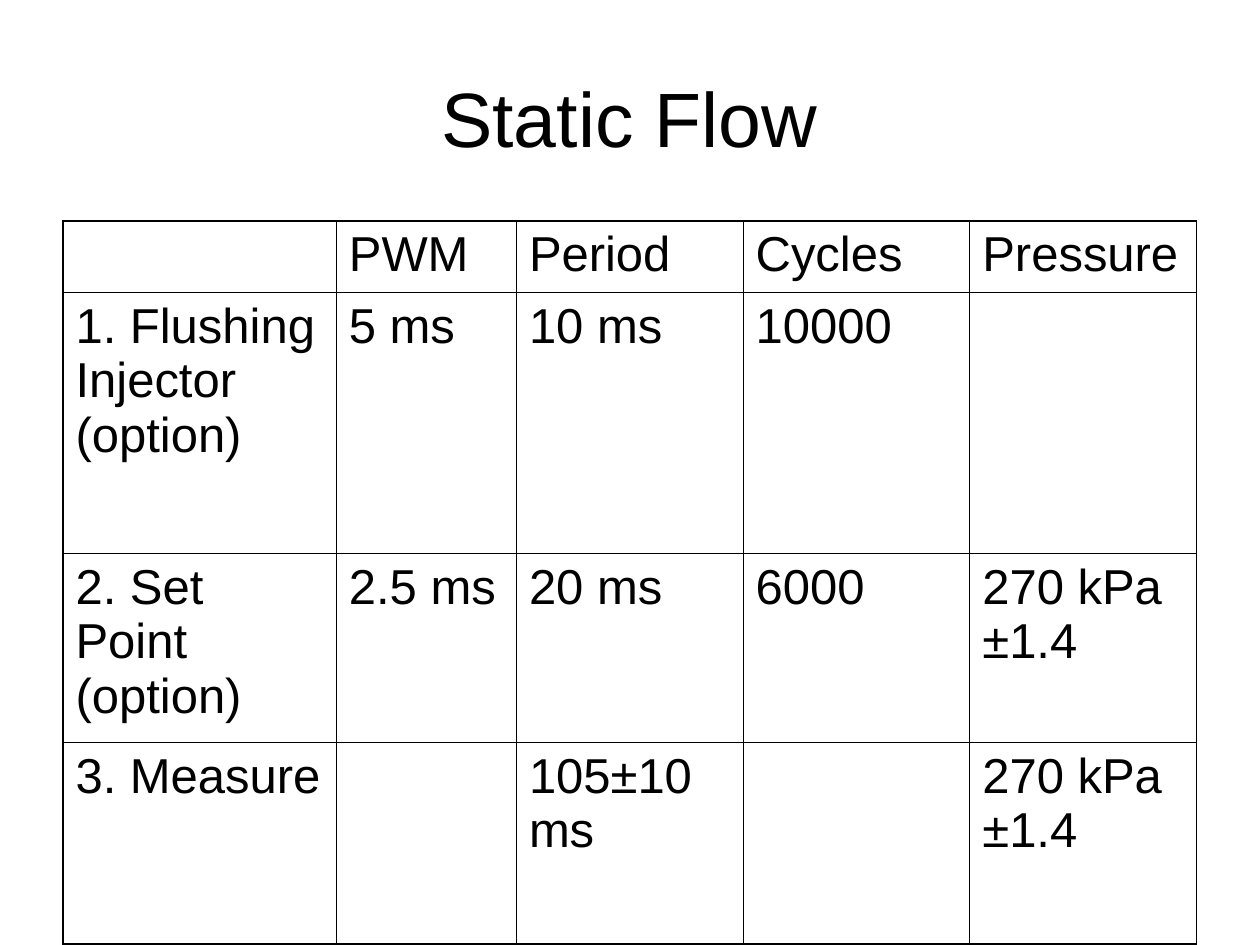
from dataclasses import dataclass

from lxml import etree
from pptx import Presentation
from pptx import util as u
from pptx.dml.color import RGBColor
from pptx.enum import text
from pptx.oxml import ns

# Content
HEADING = "Static Flow"
STEPS = [
    ("", "PWM", "Period", "Cycles", "Pressure"),
    ("1. Flushing Injector (option)", "5 ms", "10 ms", "10000", ""),
    ("2. Set Point (option)", "2.5 ms", "20 ms", "6000", "270 kPa ±1.4"),
    ("3. Measure", "", "105±10 ms", "", "270 kPa ±1.4"),
]
COLUMN_WIDTHS = [5.51, 3.63, 4.57, 4.57, 4.57]
ROW_HEIGHTS = [1.45, 5.26, 3.81, 4.06]
LEFT, TITLE_TOP, TITLE_HEIGHT, TABLE_TOP = 1.27, 0.76, 3.18, 4.45


@dataclass(frozen=True)
class Theme:
    font: str = "Arial"
    ink: str = "000000"
    title_size: float = 44
    cell_size: float = 28
    space_before: float = 7
    outer_line: float = 1.08
    inner_line: float = 0.45


THEME = Theme()


def style(paragraph, size):
    for run in paragraph.runs:
        run.font.name = THEME.font
        run.font.size = u.Pt(size)
        run.font.color.rgb = RGBColor.from_string(THEME.ink)


def set_borders(cell, outer_sides):
    """Draw all four sides, heavier on the table's outer edge."""
    properties = cell._tc.get_or_add_tcPr()
    for position, side in enumerate("LRTB"):
        weight = THEME.outer_line if side in outer_sides else THEME.inner_line
        line = etree.Element(ns.qn(f"a:ln{side}"), w=str(int(u.Pt(weight))))
        fill = etree.SubElement(line, ns.qn("a:solidFill"))
        etree.SubElement(fill, ns.qn("a:srgbClr"), val=THEME.ink)
        properties.insert(position, line)


def add_heading(slide):
    heading = slide.shapes.title
    heading.left, heading.top = u.Cm(LEFT), u.Cm(TITLE_TOP)
    heading.width, heading.height = u.Cm(sum(COLUMN_WIDTHS)), u.Cm(TITLE_HEIGHT)
    heading.text_frame.text = HEADING
    heading.text_frame.vertical_anchor = text.MSO_ANCHOR.MIDDLE
    paragraph = heading.text_frame.paragraphs[0]
    paragraph.alignment = text.PP_ALIGN.CENTER
    style(paragraph, THEME.title_size)


def add_steps(slide):
    last_row, last_column = len(STEPS) - 1, len(COLUMN_WIDTHS) - 1
    steps = slide.shapes.add_table(
        len(STEPS), len(COLUMN_WIDTHS), u.Cm(LEFT), u.Cm(TABLE_TOP),
        u.Cm(sum(COLUMN_WIDTHS)), u.Cm(sum(ROW_HEIGHTS))).table
    steps.first_row = steps.horz_banding = False
    for column, width in zip(steps.columns, COLUMN_WIDTHS):
        column.width = u.Cm(width)
    for row, height in zip(steps.rows, ROW_HEIGHTS):
        row.height = u.Cm(height)

    # Cells
    for r, values in enumerate(STEPS):
        for c, value in enumerate(values):
            cell = steps.cell(r, c)
            cell.fill.background()
            edges = {"L": c == 0, "R": c == last_column,
                     "T": r == 0, "B": r == last_row}
            set_borders(cell, [side for side, outer in edges.items() if outer])
            if value:
                cell.text_frame.text = value
                paragraph = cell.text_frame.paragraphs[0]
                paragraph.space_before = u.Pt(THEME.space_before)
                style(paragraph, THEME.cell_size)


def main():
    deck = Presentation()
    deck.slide_width, deck.slide_height = u.Cm(25.4), u.Cm(19.05)
    slide = deck.slides.add_slide(deck.slide_layouts.get_by_name("Title Only"))
    add_heading(slide)
    add_steps(slide)
    deck.save("out.pptx")


if __name__ == "__main__":
    main()
